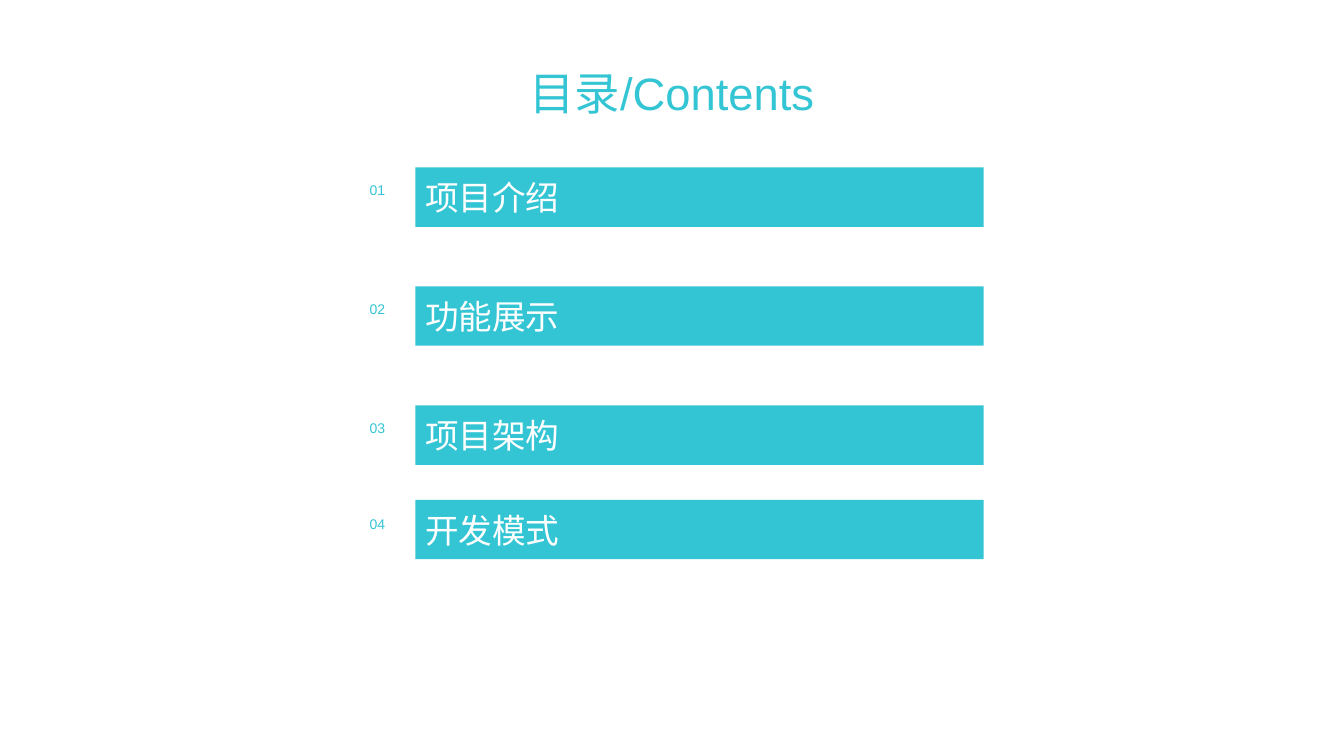
from pptx import Presentation
from pptx.dml.color import RGBColor
from pptx.enum.shapes import MSO_SHAPE
from pptx.enum.text import MSO_ANCHOR, PP_ALIGN
from pptx.util import Pt

RECTANGLE = MSO_SHAPE.RECTANGLE
MIDDLE = MSO_ANCHOR.MIDDLE
LEFT, CENTER = PP_ALIGN.LEFT, PP_ALIGN.CENTER

FONT = "Arial"
TEAL = "34C5D4"
WHITE = "FFFFFF"

ROW_LEFT, ROW_WIDTH, ROW_HEIGHT = 257, 445.75, 42.5
NUMBER_WIDTH, BAR_OFFSET = 28.8, 39.65
# Section name, top of its row, drop of its number below that top
SECTIONS = [
    ("项目介绍", 119.5, 6.5),
    ("功能展示", 204.5, 6.5),
    ("项目架构", 289.5, 6.5),
    ("开发模式", 357, 8),
]


def color(hex_value):
    return RGBColor.from_string(hex_value)


def write_text(shape, text, size, hex_value, alignment=LEFT):
    shape.text_frame.word_wrap = True
    paragraph = shape.text_frame.paragraphs[0]
    paragraph.alignment = alignment
    run = paragraph.add_run()
    run.text = text
    run.font.name = FONT
    run.font.size = Pt(size)
    run.font.color.rgb = color(hex_value)
    return paragraph


def add_title(slide, left, top, width, height):
    title = slide.shapes.add_textbox(Pt(left), Pt(top), Pt(width), Pt(height))
    paragraph = write_text(title, "目录/Contents", 32.4, TEAL, CENTER)
    paragraph.line_spacing = 1.3


def add_section_row(slide, number, name, number_drop, left, top, width, height):
    """Group a small number with the filled bar that names the section."""
    row = slide.shapes.add_group_shape()
    label = row.shapes.add_textbox(
        Pt(left), Pt(top + number_drop), Pt(NUMBER_WIDTH), Pt(height - number_drop))
    write_text(label, f"{number:02d}", 10, TEAL)

    bar = row.shapes.add_shape(
        RECTANGLE, Pt(left + BAR_OFFSET), Pt(top), Pt(width - BAR_OFFSET), Pt(height))
    bar.shadow.inherit = False
    bar.fill.solid()
    bar.fill.fore_color.rgb = color(TEAL)
    bar.line.fill.background()
    bar.text_frame.vertical_anchor = MIDDLE
    write_text(bar, name, 24, WHITE)


def add_contents_slide(presentation):
    slide = presentation.slides.add_slide(presentation.slide_layouts[6])
    slide.background.fill.solid()
    slide.background.fill.fore_color.rgb = color(WHITE)
    for number, (name, top, number_drop) in enumerate(SECTIONS, start=1):
        add_section_row(slide, number, name, number_drop,
                        ROW_LEFT, top, ROW_WIDTH, ROW_HEIGHT)
    add_title(slide, 360.75, 31, 238.3, 64)


def main():
    presentation = Presentation()
    presentation.slide_width = Pt(960)
    presentation.slide_height = Pt(540)
    add_contents_slide(presentation)
    presentation.save("out.pptx")


if __name__ == "__main__":
    main()
